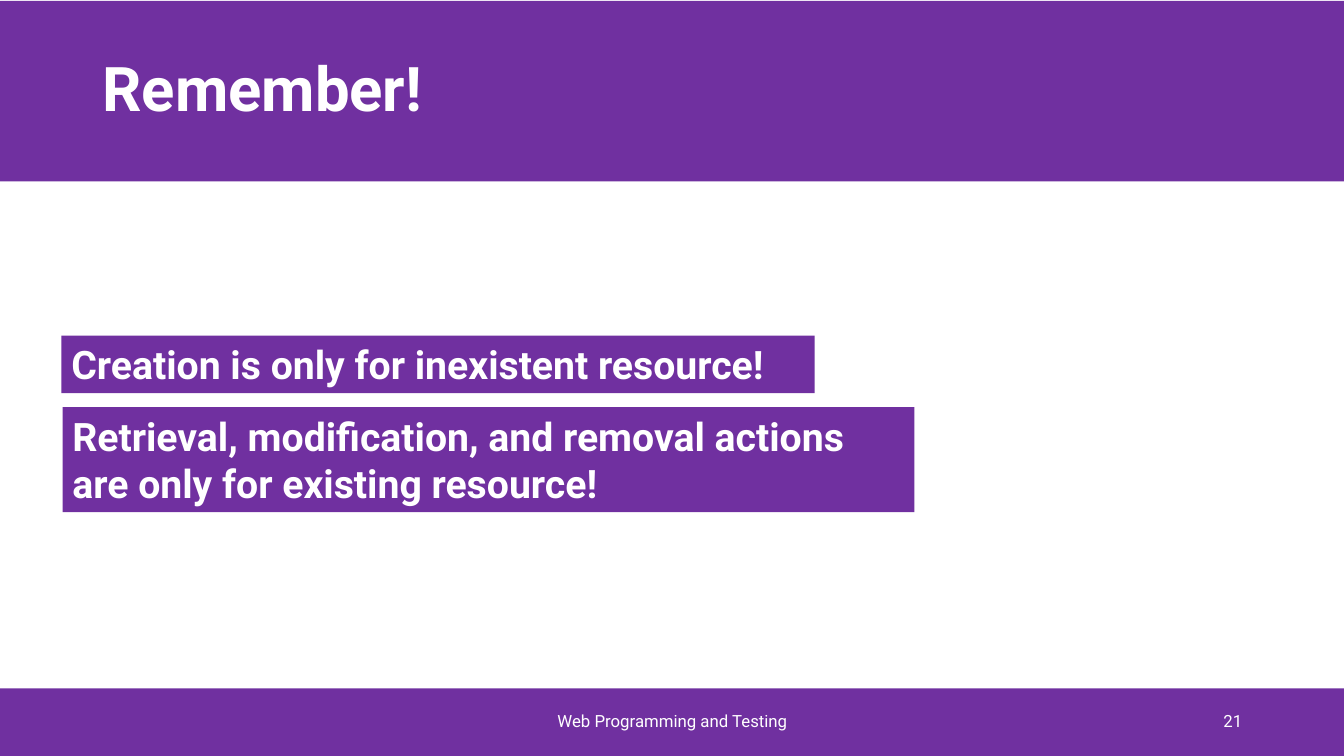
from dataclasses import dataclass

from pptx import Presentation
from pptx.dml.color import RGBColor
from pptx.enum.shapes import MSO_SHAPE
from pptx.enum.text import MSO_ANCHOR, PP_ALIGN
from pptx.slide import Slide
from pptx.util import Inches, Pt

WIDTH, HEIGHT = 13.33, 7.5
PURPLE, WHITE = "7030A0", "FFFFFF"
FONT = "Roboto"


@dataclass
class Band:
    left: float
    top: float
    width: float
    height: float


@dataclass
class Label:
    box: Band
    lines: tuple[str, ...]
    size: int
    bold: bool = False
    align: PP_ALIGN = PP_ALIGN.LEFT
    anchor: MSO_ANCHOR = MSO_ANCHOR.MIDDLE
    space: float = 1.0
    fill: str | None = None


def tint(code: str) -> RGBColor:
    return RGBColor.from_string(code)


def place(box: Band) -> list[int]:
    return [Inches(n) for n in (box.left, box.top, box.width, box.height)]


def add_band(slide: Slide, box: Band) -> None:
    shape = slide.shapes.add_shape(MSO_SHAPE.RECTANGLE, *place(box))
    shape.shadow.inherit = False
    shape.fill.solid()
    shape.fill.fore_color.rgb = tint(PURPLE)
    shape.line.fill.background()


def add_label(slide: Slide, label: Label) -> None:
    shape = slide.shapes.add_textbox(*place(label.box))
    if label.fill:
        shape.fill.solid()
        shape.fill.fore_color.rgb = tint(label.fill)
    frame = shape.text_frame
    frame.word_wrap = True
    frame.vertical_anchor = label.anchor
    para = frame.paragraphs[0]
    para.alignment = label.align
    para.line_spacing = label.space
    for index, line in enumerate(label.lines):
        if index:
            para.add_line_break()
        run = para.add_run()
        run.text = line
        font = run.font
        font.name = FONT
        font.size = Pt(label.size)
        font.bold = label.bold
        font.color.rgb = tint(WHITE)


def note(box: Band, *lines: str) -> Label:
    return Label(box, lines, 28, True, anchor=MSO_ANCHOR.TOP, fill=PURPLE)


BANDS = [
    Band(0, 6.83, WIDTH, 0.67),
    Band(0, 0.01, WIDTH, 1.79),
]

LABELS = [
    Label(Band(11.32, 6.95, 1.1, 0.4), ("21",), 12, align=PP_ALIGN.RIGHT),
    Label(Band(0.92, 0.18, 11.5, 1.45), ("Remember!",), 44, True, space=0.9),
    Label(Band(4.42, 6.95, 4.5, 0.4), ("Web Programming and Testing",), 12,
          align=PP_ALIGN.CENTER),
    note(Band(0.62, 4.04, 8.45, 1.04),
         "Retrieval, modification, and removal actions",
         "are only for existing resource!"),
    note(Band(0.61, 3.33, 7.47, 0.57),
         "Creation is only for inexistent resource!"),
]

deck = Presentation()
deck.slide_width = Inches(WIDTH)
deck.slide_height = Inches(HEIGHT)
slide = deck.slides.add_slide(deck.slide_layouts[6])
for band in BANDS:
    add_band(slide, band)
for label in LABELS:
    add_label(slide, label)
deck.save("out.pptx")
